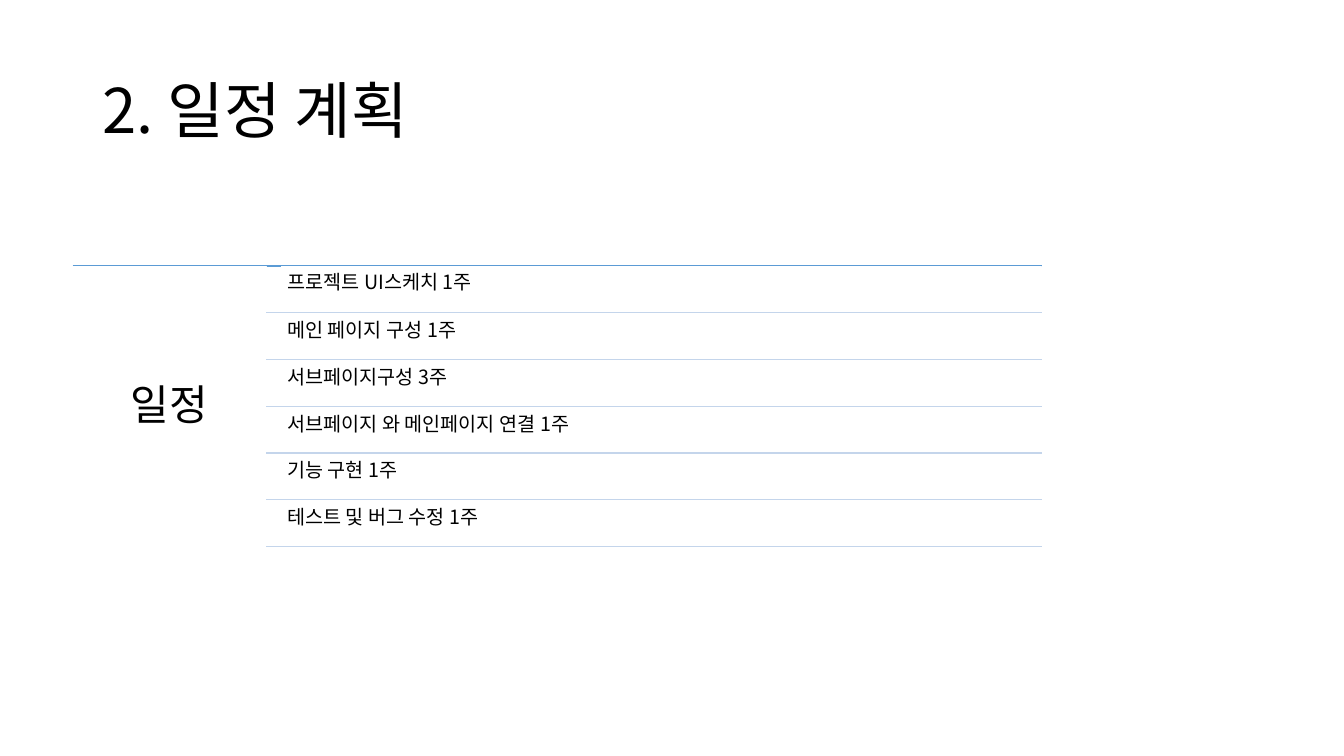
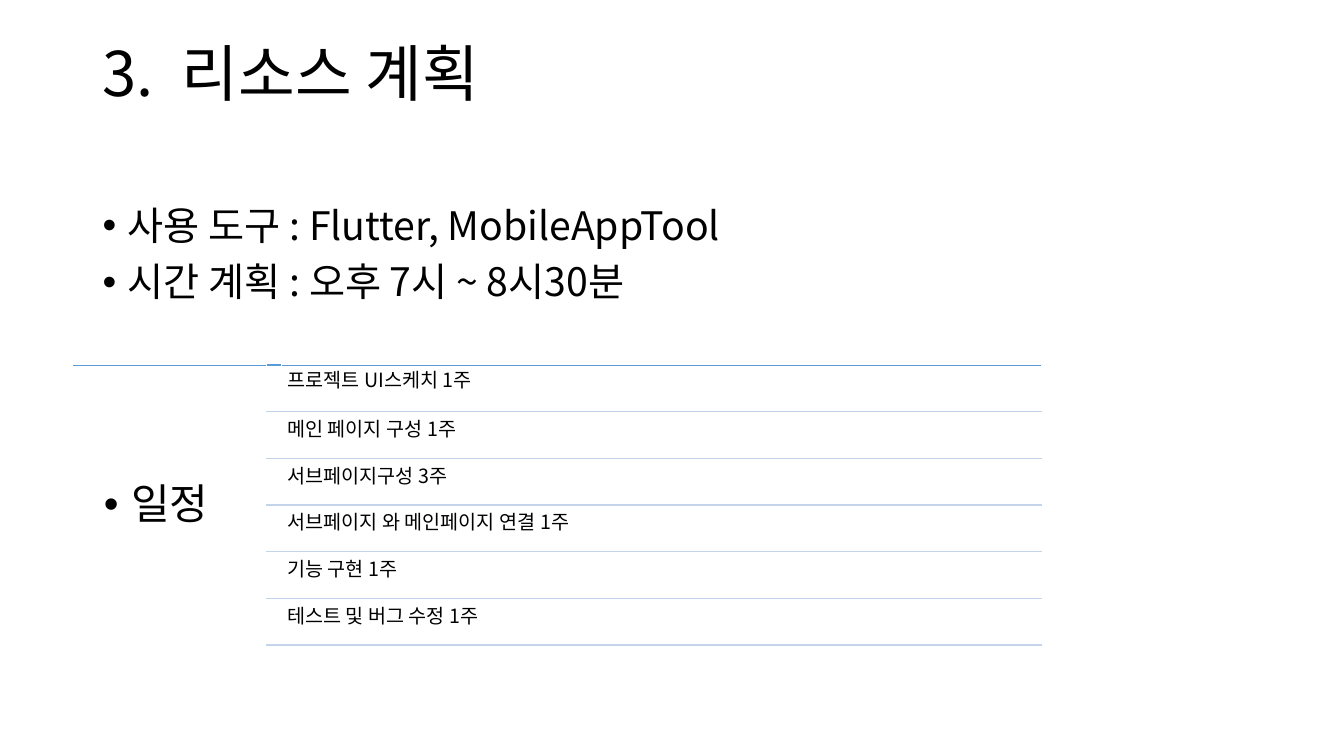
from dataclasses import dataclass

from lxml import etree
from pptx import Presentation
from pptx.dml.color import RGBColor
from pptx.enum import shapes, text
from pptx.oxml import ns
from pptx.util import Inches, Pt


@dataclass(frozen=True)
class Theme:
    font: str = "Noto Sans CJK KR"
    ink: RGBColor = RGBColor(0x00, 0x00, 0x00)
    paper: RGBColor = RGBColor(0xFF, 0xFF, 0xFF)
    accent: RGBColor = RGBColor(0x5B, 0x9B, 0xD5)
    divider: RGBColor = RGBColor(0xC4, 0xD5, 0xEB)
    title_size: int = 44
    label_size: int = 30
    body_size: int = 28
    row_size: int = 14
    line_spacing: float = 0.9


THEME = Theme()


def add_text(slide, lines, left, top, width, height, *, size, anchor=text.MSO_ANCHOR.TOP,
             align=text.PP_ALIGN.LEFT, inset=(0.1, 0.05), before=0, bullet=None, outline=None):
    """Add text; bullet is (text indent, hanging distance) in inches."""
    shape = slide.shapes.add_shape(shapes.MSO_SHAPE.RECTANGLE, Inches(left), Inches(top),
                                   Inches(width), Inches(height))
    shape.shadow.inherit = False
    shape.fill.background()
    if outline is None:
        shape.line.fill.background()
    else:
        shape.line.color.rgb = outline
        shape.line.width = Pt(0.75)
    frame = shape.text_frame
    frame.word_wrap = True
    frame.vertical_anchor = anchor
    frame.margin_left = frame.margin_right = Inches(inset[0])
    frame.margin_top = frame.margin_bottom = Inches(inset[1])
    for index, line in enumerate(lines):
        paragraph = frame.paragraphs[0] if index == 0 else frame.add_paragraph()
        paragraph.alignment = align
        paragraph.line_spacing = THEME.line_spacing
        paragraph.space_before = Pt(before)
        run = paragraph.add_run()
        run.text = line
        run.font.size = Pt(size)
        run.font.name = THEME.font
        run.font.color.rgb = THEME.ink
        east_asian = etree.SubElement(run.font._element, ns.qn("a:ea"))
        east_asian.set("typeface", THEME.font)
        if bullet:
            properties = paragraph._p.get_or_add_pPr()
            properties.set("marL", str(Inches(bullet[0])))
            properties.set("indent", str(-Inches(bullet[1])))
            etree.SubElement(properties, ns.qn("a:buFont")).set("typeface", "Arial")
            etree.SubElement(properties, ns.qn("a:buChar")).set("char", "•")


def add_rule(slide, left, right, y, color):
    rule = slide.shapes.add_connector(shapes.MSO_CONNECTOR.STRAIGHT, Inches(left), Inches(y),
                                      Inches(right), Inches(y))
    rule.line.color.rgb = color
    rule.line.width = Pt(1)
    etree.SubElement(rule._element.spPr, ns.qn("a:effectLst"))


# Content
SCHEDULE = [
    "프로젝트 UI스케치 1주",
    "메인 페이지 구성 1주",
    "서브페이지구성 3주",
    "서브페이지 와 메인페이지 연결 1주",
    "기능 구현 1주",
    "테스트 및 버그 수정 1주",
]
PAGES = [
    dict(title="2. 일정 계획", title_top=0.4, points=[], schedule_top=2.64,
         label=dict(align=text.PP_ALIGN.CENTER)),
    dict(title="3.  리소스 계획", title_top=0.03,
         points=["사용 도구 : Flutter, MobileAppTool", "시간 계획 : 오후 7시 ~ 8시30분"],
         schedule_top=3.62, label=dict(bullet=(0.46, 0.27))),
]

# Schedule grid
LEFT, DIVIDER_LEFT, ROW_LEFT, RIGHT = 0.72, 2.64, 2.79, 10.33
SCHEDULE_HEIGHT, ROW_HEIGHT, ROW_GAP = 2.8, 0.44, 0.02
ROW_STEP = (SCHEDULE_HEIGHT - ROW_GAP) / len(SCHEDULE)

presentation = Presentation()
presentation.slide_width = Inches(13.33)
presentation.slide_height = Inches(7.5)

for page in PAGES:
    slide = presentation.slides.add_slide(presentation.slide_layouts[6])

    # Title and points
    add_text(slide, [page["title"]], 0.92, page["title_top"], 11.5, 1.45,
             size=THEME.title_size, anchor=text.MSO_ANCHOR.MIDDLE)
    if page["points"]:
        add_text(slide, page["points"], 0.92, 2, 11.5, 1.5, size=THEME.body_size,
                 before=10, bullet=(0.25, 0.25))

    # Schedule heading
    top = page["schedule_top"]
    add_rule(slide, LEFT, RIGHT, top, THEME.accent)
    add_text(slide, ["일정"], LEFT, top, DIVIDER_LEFT - LEFT, SCHEDULE_HEIGHT,
             size=THEME.label_size, anchor=text.MSO_ANCHOR.MIDDLE, inset=(0.12, 0.12),
             outline=THEME.paper, **page["label"])

    # Schedule rows, each closed by a divider
    for index, task in enumerate(SCHEDULE):
        row_top = top + index * ROW_STEP + (ROW_GAP if index else 0)
        add_text(slide, [task], ROW_LEFT, row_top, RIGHT - ROW_LEFT, ROW_HEIGHT,
                 size=THEME.row_size, inset=(0.06, 0.06), outline=THEME.paper)
        add_rule(slide, DIVIDER_LEFT, RIGHT, top + (index + 1) * ROW_STEP, THEME.divider)

presentation.save("out.pptx")
